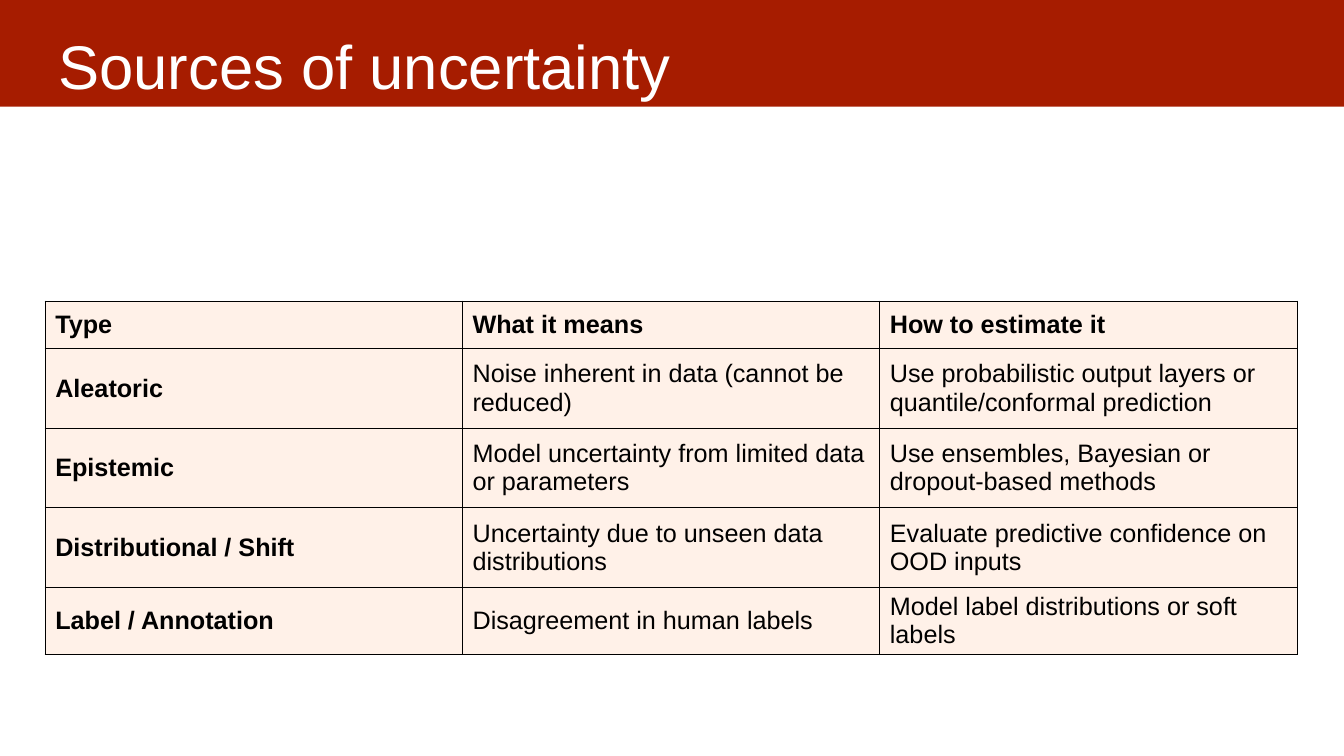
from pptx import Presentation
from pptx.dml.color import RGBColor
from pptx.enum.shapes import MSO_SHAPE
from pptx.enum.text import MSO_ANCHOR, MSO_AUTO_SIZE, PP_ALIGN
from pptx.oxml import parse_xml
from pptx.oxml.ns import nsdecls
from pptx.util import Cm, Pt

RECT = MSO_SHAPE.RECTANGLE
TOP, MIDDLE = MSO_ANCHOR.TOP, MSO_ANCHOR.MIDDLE
FIXED = MSO_AUTO_SIZE.NONE
LEFT = PP_ALIGN.LEFT

HUES = {"band": "A61C00", "cell": "FFF1E8", "ink": "000000", "white": "FFFFFF"}
FACE = "Arial"

ROWS = [
    ("Type", "What it means", "How to estimate it"),
    ("Aleatoric", "Noise inherent in data (cannot be reduced)",
     "Use probabilistic output layers or quantile/conformal prediction"),
    ("Epistemic", "Model uncertainty from limited data or parameters",
     "Use ensembles, Bayesian or dropout-based methods"),
    ("Distributional / Shift", "Uncertainty due to unseen data distributions",
     "Evaluate predictive confidence on OOD inputs"),
    ("Label / Annotation", "Disagreement in human labels",
     "Model label distributions or soft labels"),
]
HEIGHTS = [1.19, 2.01, 2.01, 2.01, 1.19]


def hue(name):
    return RGBColor.from_string(HUES[name])


def apply(item, **style):
    for key, value in style.items():
        setattr(item, key, value)


def paint(item, name):
    item.fill.solid()
    item.fill.fore_color.rgb = hue(name)


def write(frame, text, size, color, bold=False):
    para = frame.paragraphs[0]
    para.alignment = LEFT
    run = para.add_run()
    run.text = text
    apply(run.font, name=FACE, size=Pt(size), bold=bold)
    run.font.color.rgb = hue(color)


def edge(cell):
    """Draw a thin line on all four sides of a cell."""
    props = cell._tc.get_or_add_tcPr()
    for spot, side in enumerate(("lnL", "lnR", "lnT", "lnB")):
        props.insert(spot, parse_xml(
            f'<a:{side} {nsdecls("a")} w="{Pt(1)}"><a:solidFill>'
            f'<a:srgbClr val="{HUES["ink"]}"/></a:solidFill></a:{side}>'))


def add_head(slide, text, left, top, width, height):
    # Red band, sent behind the title
    band = slide.shapes.add_shape(RECT, Cm(left), Cm(top), Cm(width), Cm(height))
    band.shadow.inherit = False
    paint(band, "band")
    band.line.fill.background()
    slide.shapes._spTree.insert(2, band._element)

    # Title
    title = slide.shapes.title
    apply(title, left=Cm(left + 1.19), top=Cm(top + 0.33),
          width=Cm(width - 2.38), height=Cm(2.11))
    frame = title.text_frame
    apply(frame, word_wrap=True, auto_size=FIXED, vertical_anchor=TOP,
          margin_left=Cm(0.33), margin_right=Cm(0.33),
          margin_top=Cm(0.48), margin_bottom=Cm(0))
    write(frame, text, 44, "white")


def add_grid(slide, rows, left, top, width):
    count = len(rows[0])
    grid = slide.shapes.add_table(len(rows), count, Cm(left), Cm(top),
                                  Cm(width), Cm(sum(HEIGHTS))).table
    apply(grid, first_row=False, horz_banding=False)
    for col in grid.columns:
        col.width = Cm(width / count)
    for r, texts in enumerate(rows):
        grid.rows[r].height = Cm(HEIGHTS[r])
        for c, text in enumerate(texts):
            cell = grid.cell(r, c)
            cell.vertical_anchor = MIDDLE
            paint(cell, "cell")
            edge(cell)
            # Header row and first column are bold
            write(cell.text_frame, text, 18, "ink", r == 0 or c == 0)


def main():
    deck = Presentation()
    apply(deck, slide_width=Cm(33.87), slide_height=Cm(19.05))
    slide = deck.slides.add_slide(deck.slide_layouts[5])
    add_head(slide, "Sources of uncertainty", -0.05, -0.1, 33.93, 2.79)
    add_grid(slide, ROWS, 1.14, 7.59, 31.55)
    deck.save("out.pptx")


if __name__ == "__main__":
    main()
